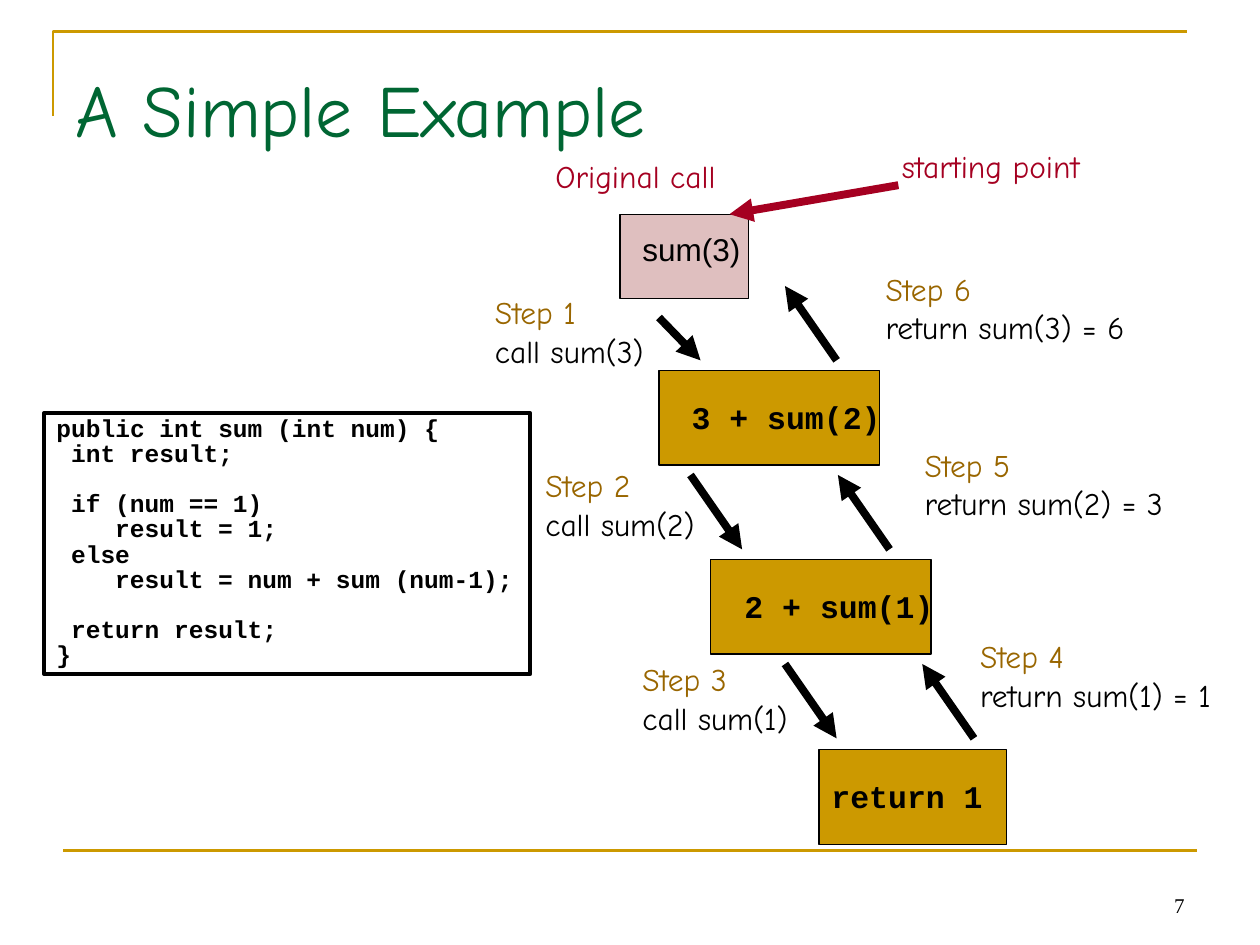
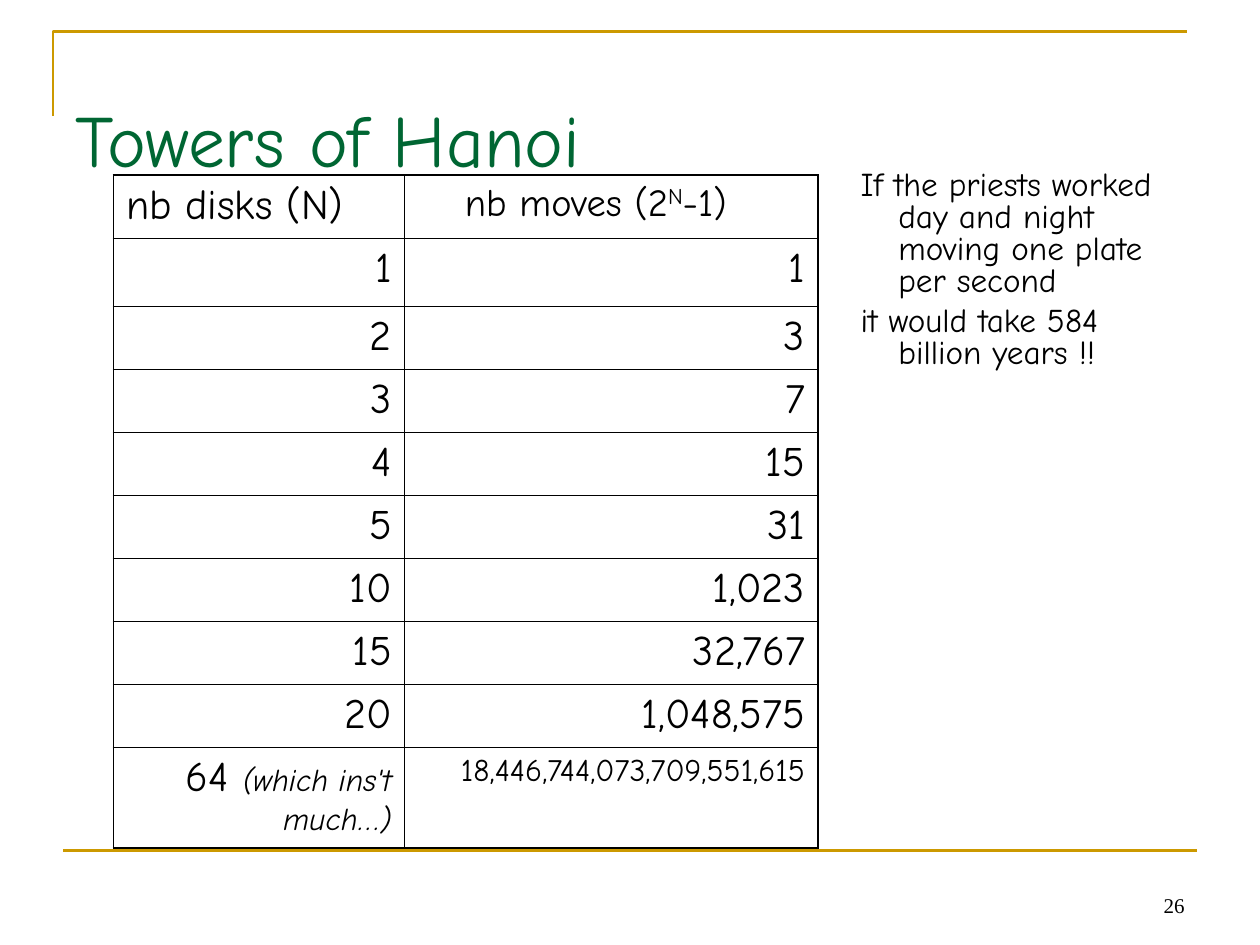
from dataclasses import dataclass

from lxml import etree
from pptx import Presentation
from pptx.dml.color import RGBColor
from pptx.enum.shapes import MSO_CONNECTOR, MSO_SHAPE
from pptx.enum.text import MSO_ANCHOR, MSO_AUTO_SIZE, PP_ALIGN
from pptx.oxml.ns import qn
from pptx.util import Pt

PX = 9144  # EMU per px, 100 px to the inch
LEFT, RIGHT = PP_ALIGN.LEFT, PP_ALIGN.RIGHT
TOP, BOTTOM = MSO_ANCHOR.TOP, MSO_ANCHOR.BOTTOM
NO_FIT = MSO_AUTO_SIZE.NONE
RECT = MSO_SHAPE.RECTANGLE
STRAIGHT = MSO_CONNECTOR.STRAIGHT
TITLE_AND_BODY, TITLE_ONLY = 1, 5


@dataclass(frozen=True)
class Theme:
    gold: str = "CC9900"
    green: str = "006633"
    brown: str = "996600"
    red: str = "A50021"
    maroon: str = "800000"
    black: str = "000000"
    hand: str = "Comic Neue"
    code: str = "Courier New"
    sans: str = "Arial"
    serif: str = "Times New Roman"
    title_size: int = 42
    table_size: int = 24
    header_size: int = 22
    body_size: int = 19
    label_size: int = 18
    code_size: int = 14
    number_size: int = 12
    code_char: float = 8.4  # width of one code character in points


T = Theme()


def rgb(colour):
    return RGBColor.from_string(colour)


def px(*lengths):
    return [n * PX for n in lengths]


def sub(parent, tag, **attrs):
    return etree.SubElement(parent, qn(tag), **attrs)


class Deck:
    def __init__(self):
        self.prs = Presentation()
        self.prs.slide_width, self.prs.slide_height = px(1000, 750)
        self.s = None

    # Slide with the shared frame, title and number
    def slide(self, layout, title, number, title_height):
        self.s = self.prs.slides.add_slide(self.prs.slide_layouts[layout])
        builder = self.s.shapes.build_freeform(42, 92, scale=PX)
        builder.add_line_segments([(42, 25), (942, 25)], close=False)
        corner = builder.convert_to_shape()
        corner.shadow.inherit = False
        corner.fill.background()
        self.outline(corner.line, T.gold, 1.5)
        self.line((50, 675), (950, 675), T.gold, 1.5)
        self.text((717, 683, 233, 50), [number], T.serif, T.number_size,
                  align=RIGHT, anchor=BOTTOM)
        sp = self.s.shapes.title
        self.place(sp, (50, 30, 900, title_height))
        tf = sp.text_frame
        tf.text = title
        self.frame(tf, BOTTOM)
        tf.margin_bottom = 10 * PX
        self.format(tf.paragraphs[0], T.hand, T.title_size, T.green)

    def place(self, sp, box):
        sp.left, sp.top, sp.width, sp.height = px(*box)

    def frame(self, tf, anchor=TOP):
        tf.word_wrap = True
        tf.auto_size = NO_FIT
        tf.vertical_anchor = anchor

    def outline(self, line, colour, width):
        line.color.rgb = rgb(colour)
        line.width = Pt(width)

    def format(self, p, font, size, colour=T.black, bold=False,
               align=LEFT, before=0, spacing=1.0):
        p.alignment = align
        p.space_before = Pt(before)
        p.line_spacing = spacing
        for r in p.runs:
            r.font.name, r.font.size, r.font.bold = font, Pt(size), bold
            r.font.color.rgb = rgb(colour)

    def fill_text(self, tf, lines, font, size, colours=(T.black,), **style):
        """Write one paragraph per line; the last colour goes on repeating."""
        for i, line in enumerate(lines):
            p = tf.paragraphs[0] if i == 0 else tf.add_paragraph()
            p.text = line
            colour = colours[min(i, len(colours) - 1)]
            self.format(p, font, size, colour, **style)

    def text(self, box, lines, font, size, colours=(T.black,), anchor=TOP,
             **style):
        tf = self.s.shapes.add_textbox(*px(*box)).text_frame
        self.frame(tf, anchor)
        self.fill_text(tf, lines, font, size, colours, **style)

    def label(self, box, lines, font=T.hand, colours=(T.black,), **style):
        self.text(box, lines, font, T.label_size, colours, before=11.2,
                  **style)

    def rect(self, box, fill=None, alpha=None, width=0.75):
        sp = self.s.shapes.add_shape(RECT, *px(*box))
        sp.shadow.inherit = False
        self.outline(sp.line, T.black, width)
        if fill is None:
            sp.fill.background()
            return sp
        sp.fill.solid()
        sp.fill.fore_color.rgb = rgb(fill)
        if alpha:
            clr = sp._element.spPr.find(qn("a:solidFill"))[0]
            sub(clr, "a:alpha", val=str(alpha * 1000))
        return sp

    def line(self, start, end, colour=T.black, width=4.5, arrow=False):
        c = self.s.shapes.add_connector(STRAIGHT, *px(*start, *end))
        self.outline(c.line, colour, width)
        if arrow:
            sub(c.line._get_or_add_ln(), "a:tailEnd", type="triangle")
        sub(c._element.spPr, "a:effectLst")

    # Code lines are (indent in characters, blank lines above, text)
    def code(self, box, lines):
        tf = self.rect(box, width=2.25).text_frame
        self.frame(tf)
        self.fill_text(tf, [line for _, _, line in lines], T.code,
                       T.code_size, bold=True, spacing=0.75)
        for p, (indent, blanks, _) in zip(tf.paragraphs, lines):
            p.space_before = Pt(1.8 + 14.3 * blanks)
            p._p.get_or_add_pPr().set("marL", str(Pt(indent * T.code_char)))

    def body(self, box, lines):
        sp = self.s.placeholders[1]
        self.place(sp, box)
        self.frame(sp.text_frame)
        self.fill_text(sp.text_frame, lines, T.hand, T.body_size,
                       before=4.8, spacing=0.8)
        for p in sp.text_frame.paragraphs:
            pPr = p._p.get_or_add_pPr()
            pPr.set("marL", str(30 * PX))
            pPr.set("indent", str(-30 * PX))
            sub(pPr, "a:buNone")

    # Table with thin inner rules and a heavier outer edge
    def table(self, left, top, widths, heights, rows):
        tbl = self.s.shapes.add_table(
            len(rows), len(widths),
            *px(left, top, sum(widths), sum(heights))).table
        tbl.first_row = tbl.horz_banding = False
        for col, width in zip(tbl.columns, widths):
            col.width = width * PX
        for row, height in zip(tbl.rows, heights):
            row.height = height * PX
        last_row, last_col = len(rows) - 1, len(widths) - 1
        for i, row in enumerate(rows):
            for j, value in enumerate(row):
                cell = tbl.cell(i, j)
                self.borders(cell, lnL=j == 0, lnR=j == last_col,
                             lnT=i == 0, lnB=i == last_row)
                cell.fill.background()
                p = cell.text_frame.paragraphs[0]
                p.text = value
                self.format(p, T.hand, T.table_size, before=6,
                            align=RIGHT if i else LEFT)
        return tbl

    def borders(self, cell, **edges):
        tcPr = cell._tc.get_or_add_tcPr()
        for tag, outer in edges.items():
            ln = sub(tcPr, "a:" + tag, w=str(Pt(1.08 if outer else 0.45)))
            sub(sub(ln, "a:solidFill"), "a:srgbClr", val=T.black)

    def add_runs(self, p, texts, size, **style):
        for text in texts:
            p.add_run().text = text
        self.format(p, T.hand, size, **style)


def simple_example(d):
    d.slide(TITLE_ONLY, "A Simple Example", "7", 101)
    d.code((35, 328, 386, 207), [
        (0, 0, "public int sum (int num) {"),
        (1, 0, "int result;"),
        (1, 1, "if (num == 1)"),
        (4, 0, "result = 1;"),
        (1, 0, "else"),
        (4, 0, "result = num + sum (num-1);"),
        (1, 1, "return result;"),
        (0, 0, "}"),
    ])

    # Stack of calls: box left, top, width, text offset, text
    for x, y, w, shift, call in [(523, 294, 175, 16, "3 + sum(2)"),
                                 (564, 444, 175, 17, "2 + sum(1)"),
                                 (650, 595, 149, 0, "return 1")]:
        d.rect((x, y, w, 75), T.gold)
        d.label((x + shift, y + 17, 175, 40), [call], T.code, bold=True)
    d.rect((492, 170, 102, 67), T.maroon, alpha=25)
    d.label((500, 178, 225, 40), ["sum(3)"], T.sans)

    # Steps down and up the stack
    steps = [(383, 241, "call sum(3)"), (423, 378, "call sum(2)"),
             (500, 532, "call sum(1)"), (768, 514, "return sum(1) = 1"),
             (724, 362, "return sum(2) = 3"), (693, 222, "return sum(3) = 6")]
    for n, (x, y, action) in enumerate(steps, 1):
        d.label((x, y, 150 if n <= 3 else 230, 56), [f"Step {n}", action],
                colours=(T.brown, T.black), spacing=0.5)
    for x, y, dx, dy in [(523, 252, 33, 34), (548, 377, 41, 59),
                         (623, 527, 41, 59), (773, 586, -41, -59),
                         (706, 436, -41, -59), (664, 286, -41, -59)]:
        d.line((x, y), (x + dx, y + dy), arrow=True)

    # Where it starts
    d.label((431, 120, 250, 40), ["Original call"], colours=(T.red,))
    d.line((713, 147), (579, 170), T.red, arrow=True)
    d.label((706, 112, 250, 40), ["starting point"], colours=(T.red,))


def towers_of_hanoi(d):
    d.slide(TITLE_AND_BODY, "Towers of Hanoi", "26", 125)
    d.body((673, 131, 252, 495), [
        "If the priests worked day and night moving one plate per second",
        "it would take 584 billion years !!",
    ])

    # Moves needed for each number of disks
    disks = [1, 2, 3, 4, 5, 10, 15, 20]
    rows = [("nb disks (N)", "")]
    rows += [(str(n), f"{2 ** n - 1:,}") for n in disks]
    rows += [("", "")]
    tbl = d.table(90, 139, (231, 328), [50, 54] + [50] * 7 + [80], rows)

    # Header with an exponent
    p = tbl.cell(0, 1).text_frame.paragraphs[0]
    d.add_runs(p, ["nb moves (2", "N", "-1)"], T.header_size, before=5.5)
    p._p.get_or_add_pPr().set("marL", str(38 * PX))
    p.runs[1]._r.get_or_add_rPr().set("baseline", "30000")

    # Last row in smaller type
    disks_p, moves_p = [c.text_frame.paragraphs[0] for c in tbl.rows[9].cells]
    d.add_runs(disks_p, ["64 ", "(which ins't much…)"], T.label_size,
               align=RIGHT, before=4.5)
    disks_p.runs[0].font.size = Pt(T.table_size)
    disks_p.runs[1].font.italic = True
    d.add_runs(moves_p, [f"{2 ** 64 - 1:,}"], T.label_size,
               align=RIGHT, before=4.5)


def main():
    d = Deck()
    simple_example(d)
    towers_of_hanoi(d)
    d.prs.save("out.pptx")


if __name__ == "__main__":
    main()
